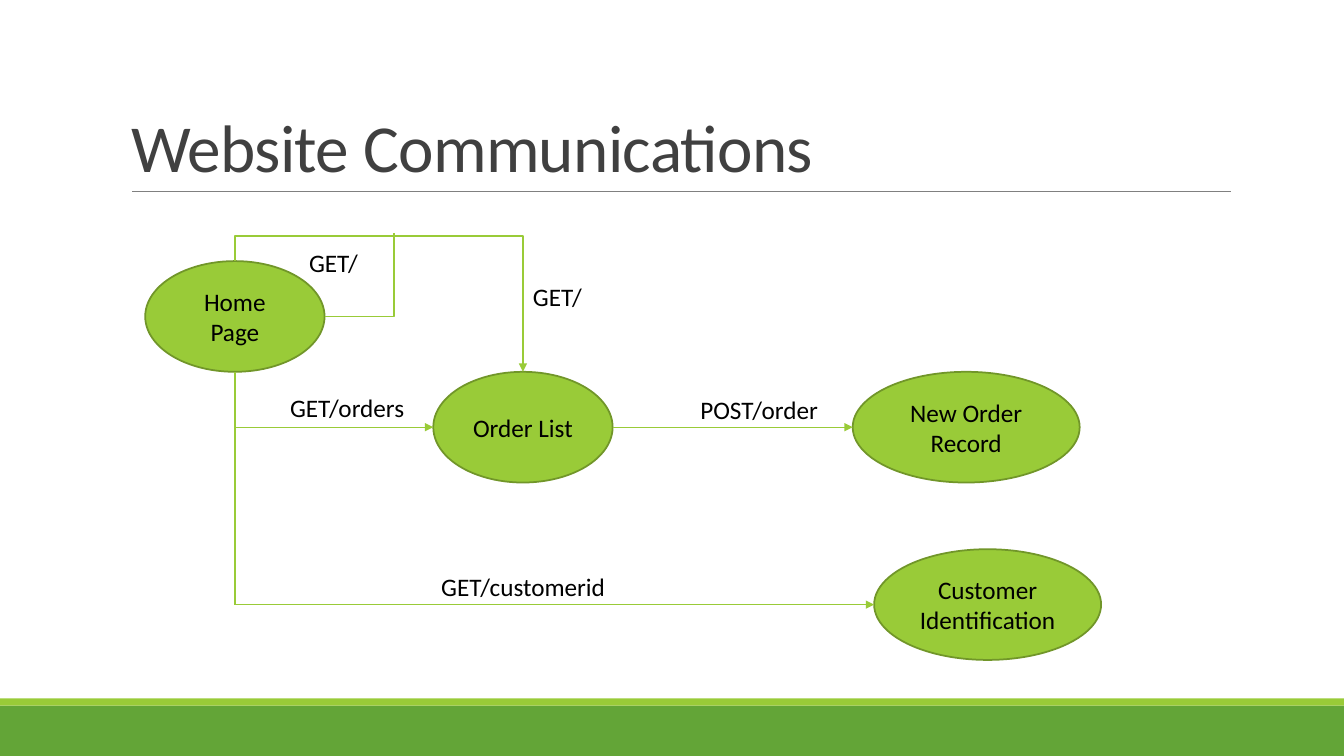
from dataclasses import dataclass

import pptx
import pptx.dml.color
import pptx.enum.shapes
import pptx.enum.text
import pptx.oxml.ns
import pptx.util
from lxml import etree

Cm, Pt = pptx.util.Cm, pptx.util.Pt
RGB = pptx.dml.color.RGBColor.from_string
Shape = pptx.enum.shapes.MSO_SHAPE
Wire = pptx.enum.shapes.MSO_CONNECTOR
Anchor = pptx.enum.text.MSO_ANCHOR
Align = pptx.enum.text.PP_ALIGN
Fit = pptx.enum.text.MSO_AUTO_SIZE
qn = pptx.oxml.ns.qn


@dataclass(frozen=True)
class Theme:
    font: str = "Calibri"
    lime: str = "99CB38"
    lime_edge: str = "719629"
    green: str = "63A537"
    rule: str = "808080"
    heading: str = "404040"
    ink: str = "000000"
    title_size: float = 48
    body_size: float = 18
    edge_width: float = 1.25
    link_width: float = 1
    rule_width: float = 0.5


@dataclass(frozen=True)
class Node:
    text: str
    left: float
    top: float
    width: float
    height: float = 2.79

    @property
    def right(self) -> float:
        return self.left + self.width

    @property
    def bottom(self) -> float:
        return self.top + self.height

    @property
    def mid_x(self) -> float:
        return self.left + self.width / 2

    @property
    def mid_y(self) -> float:
        return self.top + self.height / 2


@dataclass(frozen=True)
class Link:
    start: tuple[float, float]
    end: tuple[float, float]
    preset: str = "line"
    turned: bool = False
    adjust: int | None = None
    arrow: bool = True


@dataclass(frozen=True)
class Label:
    text: str
    left: float
    top: float
    width: float
    height: float = 1.02


T = Theme()


def write(tf, text: str, *, size=T.body_size, color=T.ink, align=Align.LEFT,
          anchor=Anchor.TOP, wrap=True, fit=Fit.NONE, leading=None, spacing=None):
    tf.word_wrap = wrap
    tf.auto_size = fit
    tf.vertical_anchor = anchor
    p = tf.paragraphs[0]
    p.alignment = align
    if leading is not None:
        p.line_spacing = leading
    r = p.add_run()
    r.text = text
    r.font.name, r.font.size = T.font, Pt(size)
    r.font.color.rgb = RGB(color)
    if spacing is not None:
        r.font._element.set("spc", str(int(spacing * 100)))


def draw_shape(s, kind, box, fill: str, edge: str | None = None):
    sp = s.shapes.add_shape(kind, *map(Cm, box))
    sp.shadow.inherit = False
    sp.fill.solid()
    sp.fill.fore_color.rgb = RGB(fill)
    if edge:
        sp.line.color.rgb = RGB(edge)
        sp.line.width = Pt(T.edge_width)
    else:
        sp.line.fill.background()
    return sp


def draw_node(s, node: Node):
    box = (node.left, node.top, node.width, node.height)
    sp = draw_shape(s, Shape.OVAL, box, T.lime, T.lime_edge)
    write(sp.text_frame, node.text, align=Align.CENTER, anchor=Anchor.MIDDLE)


def draw_line(s, kind, start, end, color: str, width: float):
    cxn = s.shapes.add_connector(kind, *map(Cm, (*start, *end)))
    cxn.line.color.rgb = RGB(color)
    cxn.line.width = Pt(width)
    etree.SubElement(cxn._element.spPr, qn("a:effectLst"))
    return cxn


def draw_link(s, link: Link):
    (x1, y1), (x2, y2) = link.start, link.end
    if link.turned:
        cx, cy, dx, dy = (x1 + x2) / 2, (y1 + y2) / 2, x2 - x1, y2 - y1
        x1, y1, x2, y2 = cx + dy / 2, cy - dx / 2, cx - dy / 2, cy + dx / 2
    kind = Wire.STRAIGHT if link.preset == "line" else Wire.ELBOW
    cxn = draw_line(s, kind, (x1, y1), (x2, y2), T.lime, T.link_width)
    spPr = cxn._element.spPr
    geom = spPr.find(qn("a:prstGeom"))
    geom.set("prst", link.preset)
    if link.turned:
        spPr.find(qn("a:xfrm")).set("rot", str(270 * 60000))
    if link.adjust is not None:
        etree.SubElement(geom.find(qn("a:avLst")), qn("a:gd"),
                         name="adj1", fmla=f"val {link.adjust}")
    if link.arrow:
        etree.SubElement(spPr.find(qn("a:ln")), qn("a:tailEnd"), type="triangle")


def draw_label(s, label: Label):
    box = (label.left, label.top, label.width, label.height)
    sp = s.shapes.add_textbox(*map(Cm, box))
    write(sp.text_frame, label.text, wrap=False, fit=Fit.SHAPE_TO_FIT_TEXT)


home = Node("Home Page", 3.66, 6.58, 4.52)
orders = Node("Order List", 10.92, home.bottom, 4.52)
record = Node("New Order Record", 21.49, home.bottom, 5.72)
customer = Node("Customer Identification", 22.03, 13.84, 5.72)
nodes = [home, orders, record, customer]

branch = (home.mid_x, orders.mid_y)
corner = (home.mid_x, customer.mid_y)
links = [
    Link((home.mid_x, home.bottom), (orders.left, orders.mid_y), "bentConnector2", turned=True),
    Link((home.mid_x, home.top), (orders.mid_x, orders.top), "bentConnector3",
         turned=True, adjust=-22800),
    Link((orders.right, orders.mid_y), (record.left, record.mid_y)),
    Link(branch, corner, arrow=False),
    Link(corner, (customer.left, customer.mid_y)),
    Link((home.right, home.mid_y), (9.93, 5.87), "bentConnector2", arrow=False),
]
labels = [
    Label("GET/", 7.54, 6.1, 1.75),
    Label("GET/orders", 7.06, 9.75, 3.43),
    Label("GET/", 13.18, 6.96, 1.75),
    Label("GET/customerid", 10.87, 14.27, 4.67),
    Label("POST/order", 17.4, 9.8, 3.51),
]

prs = pptx.Presentation()
prs.slide_width, prs.slide_height = Cm(33.87), Cm(19.05)
s = prs.slides.add_slide(prs.slide_layouts[5])

title = s.shapes.title
title.left, title.top, title.width, title.height = map(Cm, (3.05, 0.79, 27.94, 4.04))
write(title.text_frame, "Website Communications", size=T.title_size, color=T.heading,
      anchor=Anchor.BOTTOM, leading=0.85, spacing=-0.5)

draw_shape(s, Shape.RECTANGLE, (0, 17.78, 33.87, 1.27), T.green)
draw_shape(s, Shape.RECTANGLE, (0, 17.6, 33.87, 0.18), T.lime)
draw_line(s, Wire.STRAIGHT, (3.33, 4.83), (31.01, 4.83), T.rule, T.rule_width)

for node in nodes:
    draw_node(s, node)
for link in links:
    draw_link(s, link)
for label in labels:
    draw_label(s, label)

prs.save("out.pptx")
